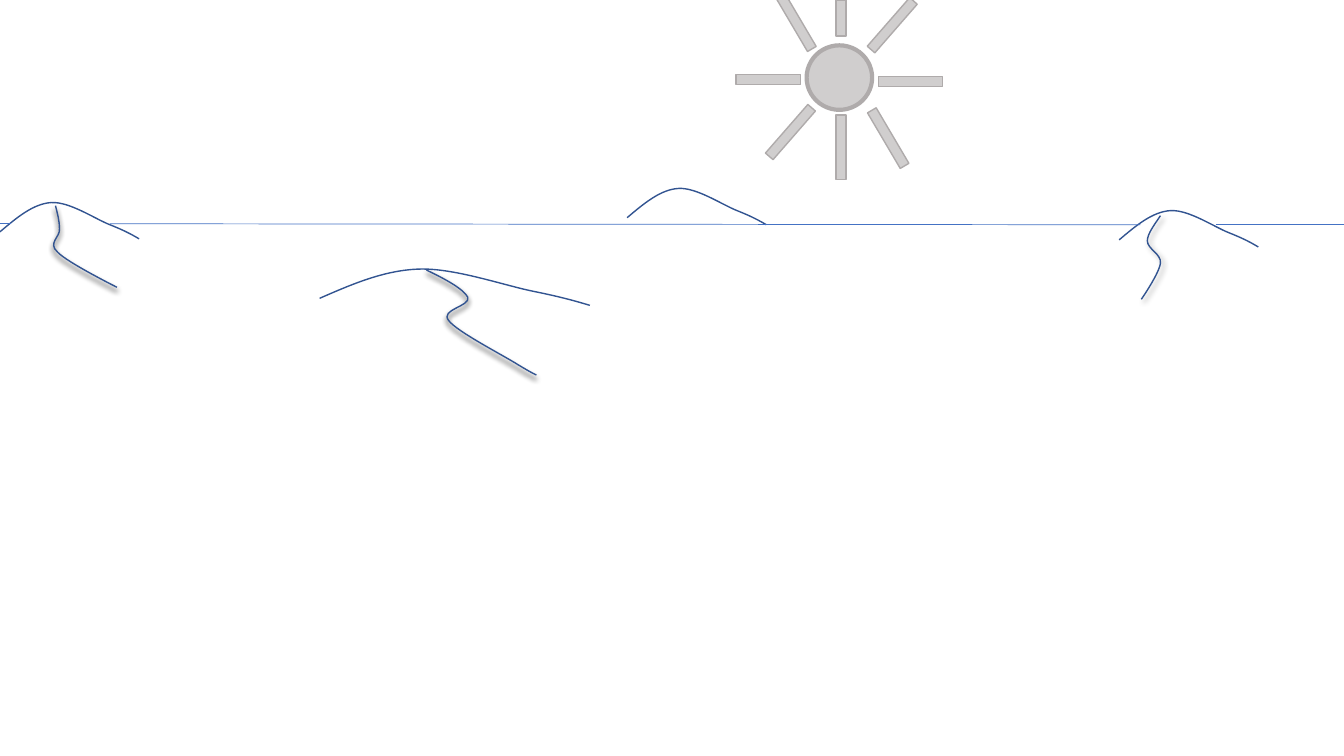
"""Build a desert scene with a sun, dunes and a horizon."""
import pptx
import pptx.util
import pptx.dml.color
import pptx.enum.shapes
import pptx.oxml.ns
from lxml import etree

Inches = pptx.util.Inches
qn = pptx.oxml.ns.qn
KIND = pptx.enum.shapes.MSO_SHAPE
COLORS = {"sun": "D0CECE", "rim": "AFABAB", "dune": "325491", "sky": "4472C4", "shade": "000000"}
SUN = (8, 0.45, 0.65, 0.64)
NOON = (8.29, 0, 0.1, 0.36)
RAY = (0.1, 0.64)
RAYS = [
    (8.29, 1.14, 0), (8.98, 0.49, 90), (7.57, 0.47, 90),
    (8.76, 1.05, 329.5), (7.84, -0.11, 329.5),
    (7.79, 0.99, 221.1), (8.8, -0.07, 221.1),
]
RIDGE = [
    (0, 0), (0.12, -0.14), (0.24, -0.28), (0.37, -0.29), (0.5, -0.3),
    (0.68, -0.13), (0.79, -0.07), (0.9, -0.01), (0.95, 0.03), (1, 0.07),
]
DUNES = [(3.17, 2.96, 2.68), (6.22, 2.16, 1.38), (0, 2.3, 1.38), (11.1, 2.38, 1.38)]
FOLDS = [
    ([(0.55, 2.04), (0.57, 2.12), (0.59, 2.19), (0.59, 2.27), (0.6, 2.35),
      (0.47, 2.41), (0.57, 2.5), (0.66, 2.6), (1.16, 2.85), (1.16, 2.85)], 100, 90),
    ([(4.23, 2.68), (4.42, 2.77), (4.6, 2.87), (4.64, 2.95), (4.67, 3.04),
      (4.36, 3.07), (4.45, 3.18), (4.53, 3.29), (5, 3.53), (5.14, 3.62),
      (5.29, 3.71), (5.3, 3.71), (5.32, 3.72)], 100, 90),
    ([(11.51, 2.14), (11.45, 2.23), (11.38, 2.32), (11.38, 2.39), (11.38, 2.47),
      (11.52, 2.52), (11.51, 2.61), (11.5, 2.71), (11.32, 2.97), (11.32, 2.97)], 40, 45),
]
SKY = [(1.09, 2.22, 11.31, 2.23), (12.06, 2.23, 13.33, 2.23), (0.11, 2.22, 0, 2.22)]

deck = pptx.Presentation()
size = {"slide_width": Inches(13.33), "slide_height": Inches(7.5)}
for key, val in size.items():
    setattr(deck, key, val)
shapes = deck.slides.add_slide(deck.slide_layouts[6]).shapes


def tint(name):
    return pptx.dml.color.RGBColor.from_string(COLORS[name])


def edge(shape, name, width):
    shape.line.color.rgb = tint(name)
    shape.line.width = pptx.util.Pt(width)


def node(base, tag, **attrs):
    return etree.SubElement(base, qn(tag), {k: str(v) for k, v in attrs.items()})


def glow(kind, box, width, turn=0):
    shape = shapes.add_shape(kind, *map(Inches, box))
    shape.shadow.inherit = False
    shape.rotation = turn
    shape.fill.solid()
    shape.fill.fore_color.rgb = tint("sun")
    edge(shape, "rim", width)


def curve(knots):
    dots = [tuple(map(Inches, knot)) for knot in knots]
    pen = shapes.build_freeform(*dots[0])
    pen.add_line_segments(dots[1:], close=False)
    shape = pen.convert_to_shape()
    legs = list(shape.element.iter(qn("a:lnTo")))
    for i in range(0, len(legs), 3):
        bend = node(legs[i].getparent(), "a:cubicBezTo")
        for leg in legs[i:i + 3]:
            bend.append(leg[0])
            leg.getparent().remove(leg)
    shape.shadow.inherit = False
    shape.fill.background()
    edge(shape, "dune", 1)
    return shape


def shade(shape, alpha, angle):
    fx = shape.element.spPr.find(qn("a:effectLst"))
    drop = node(fx, "a:outerShdw", blurRad=pptx.util.Pt(4), dist=pptx.util.Pt(3),
                dir=angle * 60000, algn="t", rotWithShape=0)
    ink = node(drop, "a:srgbClr", val=COLORS["shade"])
    node(ink, "a:alpha", val=alpha * 1000)


glow(KIND.OVAL, SUN, 3)
x, y, turn = RAYS[0]
glow(KIND.RECTANGLE, (x, y, *RAY), 1, turn)
glow(KIND.RECTANGLE, NOON, 1)
for x, y, turn in RAYS[1:]:
    glow(KIND.RECTANGLE, (x, y, *RAY), 1, turn)
for x, y, wide in DUNES:
    curve([(x + wide * dx, y + dy) for dx, dy in RIDGE])
for knots, alpha, angle in FOLDS:
    shade(curve(knots), alpha, angle)
for ends in SKY:
    line = shapes.add_connector(pptx.enum.shapes.MSO_CONNECTOR.STRAIGHT, *map(Inches, ends))
    edge(line, "sky", 0.5)
    node(line.element.spPr, "a:effectLst")
deck.save("out.pptx")
